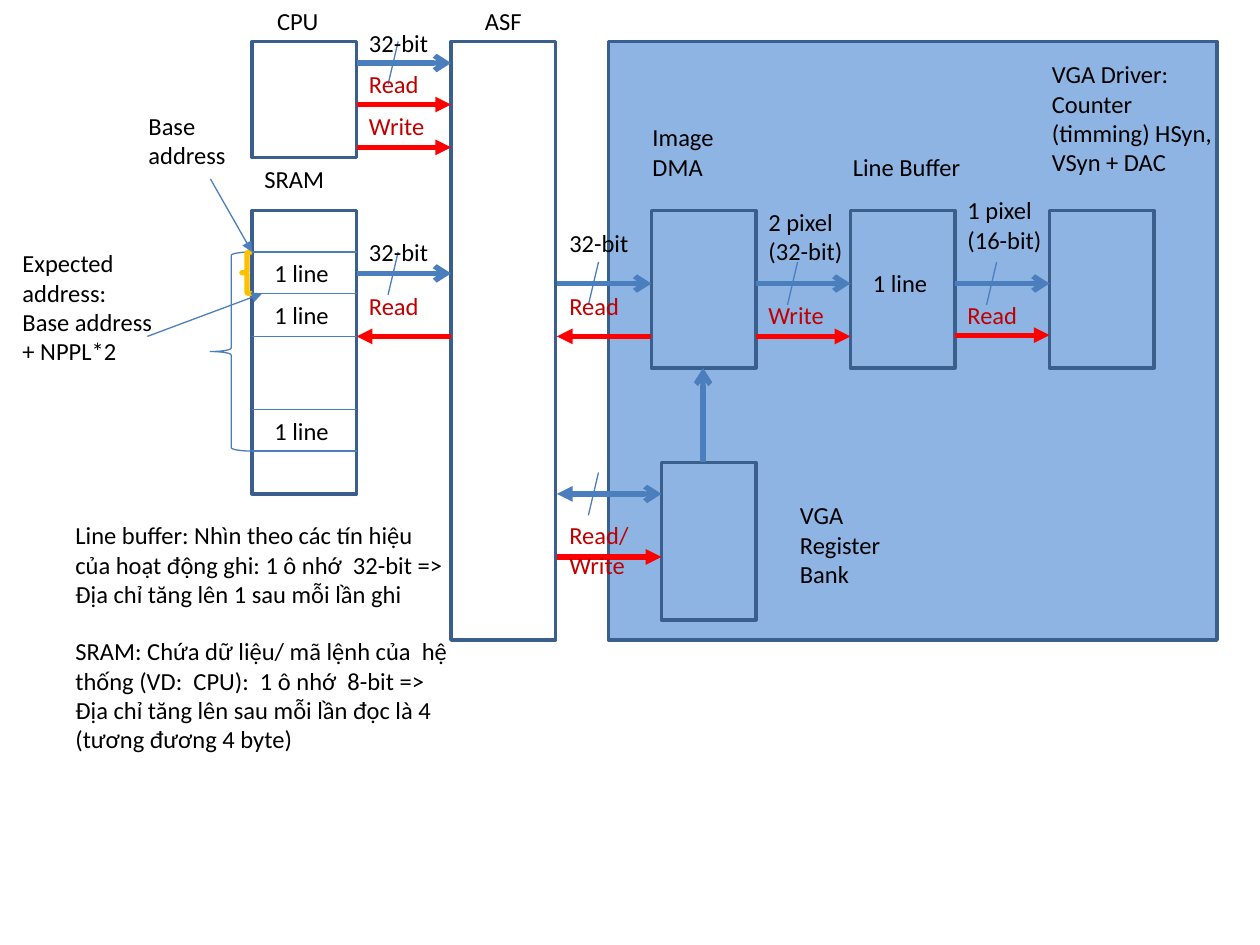
from dataclasses import dataclass

from lxml import etree
from pptx import Presentation
from pptx import util as u
from pptx.dml.color import RGBColor
from pptx.enum import shapes, text
from pptx.oxml import ns


@dataclass(frozen=True)
class Theme:
    """Colours, type and line widths of the diagram."""
    font: str = "Calibri"
    size: float = 14
    ink: str = "000000"
    signal: str = "C00000"
    border: str = "3A5F8C"
    data: str = "4B7EBC"
    control: str = "FF0000"
    panel: str = "8EB4E3"
    mark: str = "FFC000"
    thin: float = 0.75
    medium: float = 2
    thick: float = 3


def apply(target, values):
    """Set every attribute named in values on target."""
    for name, value in values.items():
        setattr(target, name, value)


class Diagram:
    """Draws block diagram parts on one page in one style."""

    def __init__(self, page, theme):
        """Keep the page and the theme."""
        self.page, self.theme = page, theme

    def stroke(self, line, color, width):
        """Give a line its colour and width."""
        line.color.rgb = RGBColor.from_string(color)
        line.width = u.Pt(width)

    def box(self, left, top, width, height, kind="RECTANGLE", fill=None, color=None, weight=None):
        """Add an outlined preset shape."""
        box = self.page.shapes.add_shape(
            shapes.MSO_SHAPE[kind], *map(u.Inches, (left, top, width, height)))
        box.shadow.inherit = False
        if fill:
            box.fill.solid()
            box.fill.fore_color.rgb = RGBColor.from_string(fill)
        else:
            box.fill.background()
        self.stroke(box.line, color or self.theme.border, weight or self.theme.medium)

    def label(self, left, top, width, height, *lines, color=None):
        """Add wrapped text, one paragraph for each line."""
        box = self.page.shapes.add_textbox(*map(u.Inches, (left, top, width, height)))
        apply(box.text_frame, {"word_wrap": True,
                               "auto_size": text.MSO_AUTO_SIZE.SHAPE_TO_FIT_TEXT})
        for index, line in enumerate(lines):
            frame = box.text_frame
            para = frame.add_paragraph() if index else frame.paragraphs[0]
            span = para.add_run()
            span.text = line
            apply(span.font, {"name": self.theme.font, "size": u.Pt(self.theme.size)})
            span.font.color.rgb = RGBColor.from_string(color or self.theme.ink)

    def line(self, start, end, color=None, weight=None, head=None, tail=None):
        """Add a straight line with optional arrowheads at start and end."""
        line = self.page.shapes.add_connector(
            shapes.MSO_CONNECTOR.STRAIGHT, *map(u.Inches, (*start, *end)))
        self.stroke(line.line, color or self.theme.data, weight or self.theme.thin)
        outline = line.line._get_or_add_ln()
        for tag, kind in (("a:headEnd", head), ("a:tailEnd", tail)):
            if kind:
                etree.SubElement(outline, ns.qn(tag), type=kind)
        etree.SubElement(line._element.spPr, ns.qn("a:effectLst"))

    def data_wire(self, left, y, width=0.75, head=None):
        """Add a data arrow crossed by a bus slash."""
        self.line((left, y), (left + width, y), weight=self.theme.thick, head=head, tail="arrow")
        self.line((left + 0.33, y - 0.17), (left + 0.25, y + 0.17))

    def control_wire(self, left, y, width=0.75, back=False):
        """Add a control arrow, pointing left when back is set."""
        end = {"head" if back else "tail": "triangle"}
        self.line((left, y), (left + width, y), self.theme.control, self.theme.thick, **end)


CPU_OUT, ASF_OUT, DMA_OUT, BUFFER_OUT = 2.83, 4.42, 6, 7.58
SRAM = 2
ROW = 0.34

BLOCKS = [
    (SRAM, 0.33, 0.83, 0.92),
    (SRAM, 1.67, 0.83, 2.25),
    (3.58, 0.33, 0.83, 4.75),
    *[(left, 1.67, 0.83, 1.25) for left in (5.17, 6.75, 8.33)],
    (5.25, 3.67, 0.75, 1.25),
]
DATA_WIRES = [
    (CPU_OUT, 0.5), (CPU_OUT, 2.17), (ASF_OUT, 2.25), (DMA_OUT, 2.25),
    (BUFFER_OUT, 2.25), (ASF_OUT, 3.92, 0.83, "triangle"),
]
CONTROL_WIRES = [
    (CPU_OUT, 0.83), (CPU_OUT, 1.17), (CPU_OUT, 2.67, 0.75, True),
    (ASF_OUT, 2.67, 0.75, True), (DMA_OUT, 2.67), (BUFFER_OUT, 2.66),
    (ASF_OUT, 4.42, 0.83),
]
NAMES = [
    (2.1, 0, 0.82, ROW, "CPU"),
    (3.75, 0, 0.58, ROW, "ASF"),
    (SRAM, 1.25, 0.82, ROW, "SRAM"),
    (5.08, 0.92, 1.08, 0.57, "Image DMA"),
    (6.67, 1.16, 1.08, ROW, "Line Buffer"),
    (8.25, 0.42, 1.58, 1.04, "VGA Driver: Counter (timming) HSyn, VSyn + DAC"),
    (6.25, 3.92, 0.92, 0.81, "VGA Register Bank"),
    (CPU_OUT, 0.17, 0.83, ROW, "32-bit"),
    (CPU_OUT, 1.83, 0.83, ROW, "32-bit"),
    (ASF_OUT, 1.76, 0.83, ROW, "32-bit"),
    (DMA_OUT, 1.59, 0.92, 0.57, "2 pixel (32-bit)"),
    (BUFFER_OUT, 1.5, 0.83, 0.57, "1 pixel (16-bit)"),
    *[(left, top, 0.67, ROW, "1 line")
      for left, top in ((2.08, 2), (2.08, 2.33), (2.08, 3.25), (6.83, 2.08))],
    (1.08, 0.83, 0.83, 0.57, "Base address"),
    (0.08, 1.92, 1.25, 1.04, "Expected address: Base address + NPPL*2"),
    (0.5, 4.08, 3.17, 0.81,
     "Line buffer: Nhìn theo các tín hiệu của hoạt động ghi: 1 ô nhớ  32-bit =>",
     "Địa chỉ tăng lên 1 sau mỗi lần ghi"),
    (0.5, 5, 3.17, 1.04,
     "SRAM: Chứa dữ liệu/ mã lệnh của  hệ thống (VD:  CPU):  1 ô nhớ  8-bit => "
     "Địa chỉ tăng lên sau mỗi lần đọc là 4 (tương đương 4 byte)"),
]
SIGNALS = [
    (CPU_OUT, 0.5, ROW, "Read"), (CPU_OUT, 0.83, ROW, "Write"),
    (CPU_OUT, 2.26, ROW, "Read"), (ASF_OUT, 2.26, ROW, "Read"),
    (DMA_OUT, 2.33, ROW, "Write"), (BUFFER_OUT, 2.33, ROW, "Read"),
    (ASF_OUT, 4.08, 0.57, "Read/Write"),
]


def draw(diagram):
    """Draw the blocks, wires, memory rows and labels."""
    theme = diagram.theme
    diagram.box(4.83, 0.33, 4.83, 4.75, fill=theme.panel)
    for block in BLOCKS:
        diagram.box(*block)
    for wire in DATA_WIRES:
        diagram.data_wire(*wire)
    for wire in CONTROL_WIRES:
        diagram.control_wire(*wire)
    diagram.line((5.58, 3.67), (5.58, 2.92), weight=theme.thick, tail="arrow")

    for y in (2, 2.33, 2.67, 3.25, 3.58):
        diagram.line((SRAM, y), (CPU_OUT, y))
    diagram.box(1.67, 2, 0.33, 1.58, "LEFT_BRACE", color=theme.data, weight=theme.thin)
    diagram.box(1.92, 2, 0.08, 0.33, "LEFT_BRACE", color=theme.mark, weight=theme.thick)
    diagram.line((SRAM, 2), (1.67, 1.42), head="triangle")
    diagram.line((2.08, 2.33), (1.17, 2.67), head="triangle")

    for name in NAMES:
        diagram.label(*name)
    for left, top, height, signal in SIGNALS:
        diagram.label(left, top, 0.83, height, signal, color=theme.signal)


def main():
    """Build and save the deck."""
    deck = Presentation()
    apply(deck, {"slide_width": u.Inches(10), "slide_height": u.Inches(7.5)})
    page = deck.slides.add_slide(deck.slide_layouts[6])
    draw(Diagram(page, Theme()))
    deck.save("out.pptx")


main()
